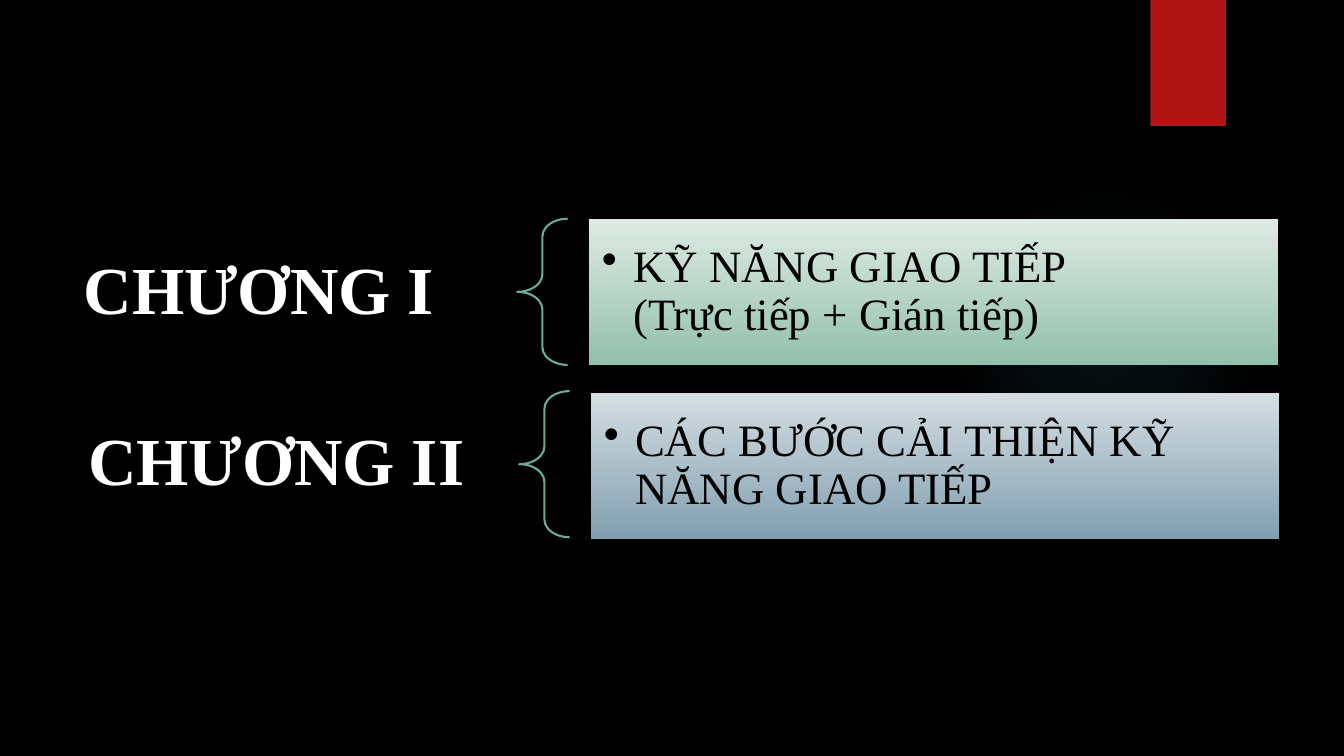
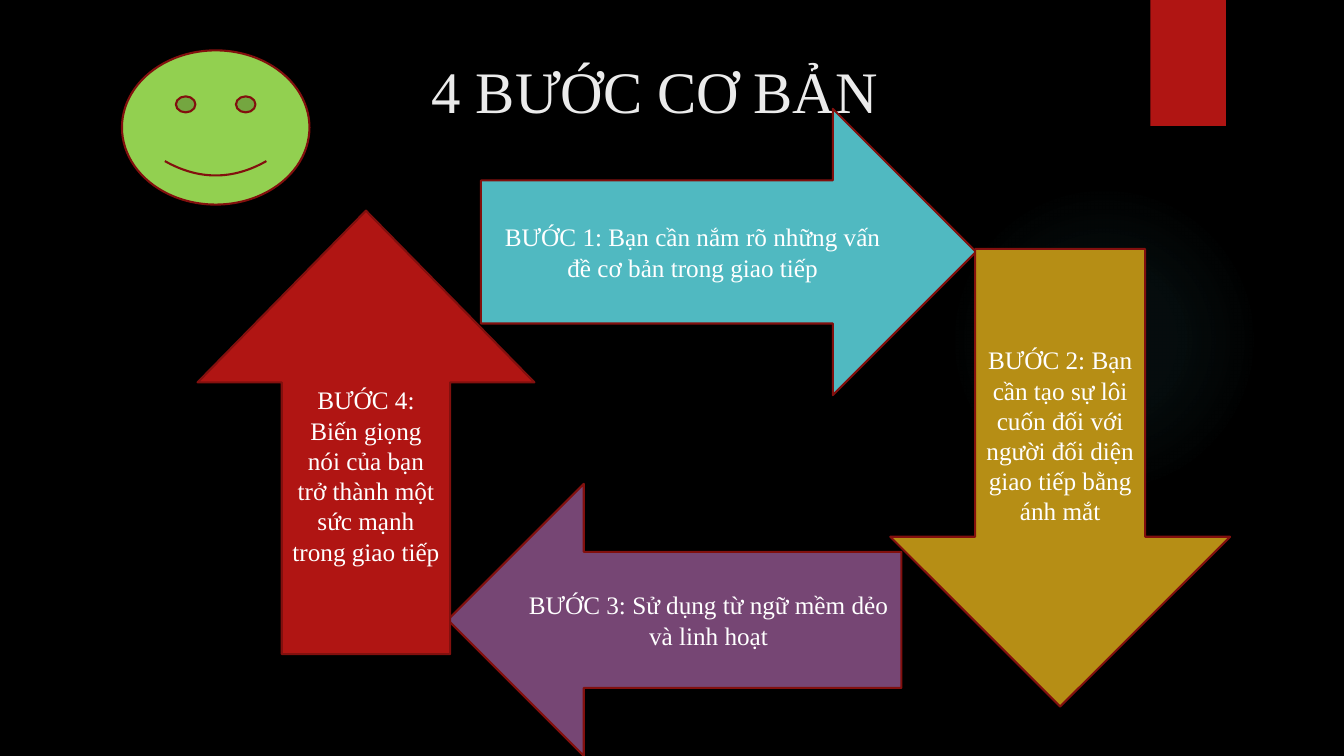
from dataclasses import dataclass

from lxml import etree
from pptx import Presentation
from pptx import util as u
from pptx.dml.color import RGBColor
from pptx.enum import shapes, text
from pptx.oxml import ns

FONT = "Times New Roman"
BLACK, WHITE, TITLE = "000000", "FFFFFF", "EBEBEB"
RED, DARK_RED, TEAL, GREEN = "B01513", "82100E", "50B9C1", "6AAC90"
GLOW_STOPS = ((0, 7), (36, 6), (69, 0))
MS, AL, AN = shapes.MSO_SHAPE, text.PP_ALIGN, text.MSO_ANCHOR
Box = tuple[float, float, float, float]


@dataclass
class Chapter:
    label: str
    label_box: Box
    align: AL
    brace_box: Box
    content: str
    content_box: Box
    gradient: tuple[str, str]


@dataclass
class Step:
    content: str
    kind: MS
    box: Box
    color: str
    head: float = 0.5


CHAPTERS = [
    Chapter("CHƯƠNG I", (0.46, 2.18, 4.8, 1.45), AL.LEFT, (5.13, 2.17, 0.5, 1.45),
            "KỸ NĂNG GIAO TIẾP\v(Trực tiếp + Gián tiếp)",
            (5.84, 2.17, 6.84, 1.45), ("DEEAE4", "93C0AC")),
    Chapter("CHƯƠNG II", (0.33, 3.9, 4.82, 1.4), AL.CENTER, (5.15, 3.88, 0.5, 1.45),
            "CÁC BƯỚC CẢI THIỆN KỸ NĂNG GIAO TIẾP",
            (5.86, 3.9, 6.83, 1.45), ("D5DDE2", "81A0B0")),
]
STEPS = [
    Step("BƯỚC 1: Bạn cần nắm rõ những vấn đề cơ bản trong giao tiếp",
         MS.RIGHT_ARROW, (4.77, 1.08, 4.91, 2.84), TEAL),
    Step("BƯỚC 2: Bạn cần tạo sự lôi cuốn đối với người đối diện giao tiếp bằng ánh mắt",
         MS.DOWN_ARROW, (8.83, 2.47, 3.37, 4.54), "B68E15"),
    Step("BƯỚC 3: Sử dụng từ ngữ mềm dẻo và linh hoạt",
         MS.LEFT_ARROW, (4.44, 4.8, 4.5, 2.7), "764674"),
    Step("BƯỚC 4: Biến giọng nói của bạn trở thành một sức mạnh trong giao tiếp",
         MS.UP_ARROW, (1.96, 2.09, 3.34, 4.4), RED, 0.51),
]


def rgb(value: str) -> RGBColor:
    return RGBColor.from_string(value)


def inches(box: Box) -> list[u.Length]:
    return [u.Inches(v) for v in box]


def add_shape(s, kind: MS, box: Box, fill: str | None = None, line: str | None = None):
    sp = s.shapes.add_shape(kind, *inches(box))
    sp.shadow.inherit = False
    if fill:
        sp.fill.solid()
        sp.fill.fore_color.rgb = rgb(fill)
    else:
        sp.fill.background()
    if line:
        sp.line.color.rgb = rgb(line)
        sp.line.width = u.Pt(1.5)
    else:
        sp.line.fill.background()
    return sp


def write(sp, content: str, *, size: float, color: str = WHITE, bold: bool = False,
          align: AL = AL.CENTER, anchor: AN = AN.MIDDLE, spacing: float = 1.0,
          insets: tuple[float, float] = (0.1, 0.05), bullet: bool = False) -> None:
    tf = sp.text_frame
    tf.word_wrap = True
    tf.vertical_anchor = anchor
    tf.margin_left = tf.margin_right = u.Inches(insets[0])
    tf.margin_top = tf.margin_bottom = u.Inches(insets[1])
    p = tf.paragraphs[0]
    p.text = content
    p.alignment = align
    p.line_spacing = spacing
    for r in p.runs:
        r.font.name = FONT
        r.font.size = u.Pt(size)
        r.font.bold = bold
        r.font.color.rgb = rgb(color)
    if bullet:
        props = p._p.get_or_add_pPr()
        props.set("marL", str(u.Inches(0.31)))
        props.set("indent", str(-u.Inches(0.31)))
        etree.SubElement(props, ns.qn("a:buChar"), char="•")


def add_text(s, box: Box, content: str, **style) -> None:
    write(s.shapes.add_textbox(*inches(box)), content, **style)


def add_glow(s) -> None:
    sp = add_shape(s, MS.OVAL, (9.41, 1.83, 3.08, 3.08))
    sp.fill.gradient()
    grad = sp._element.spPr.find(ns.qn("a:gradFill"))
    for child in list(grad):
        grad.remove(child)
    stops = etree.SubElement(grad, ns.qn("a:gsLst"))
    for pos, alpha in GLOW_STOPS:
        stop = etree.SubElement(stops, ns.qn("a:gs"), pos=str(pos * 1000))
        color = etree.SubElement(stop, ns.qn("a:srgbClr"), val=TEAL)
        etree.SubElement(color, ns.qn("a:alpha"), val=str(alpha * 1000))
    circle = etree.SubElement(grad, ns.qn("a:path"), path="circle")
    etree.SubElement(circle, ns.qn("a:fillToRect"),
                     {side: "50000" for side in "ltrb"})


def new_slide(prs):
    s = prs.slides.add_slide(prs.slide_layouts[6])
    s.background.fill.solid()
    s.background.fill.fore_color.rgb = rgb(BLACK)
    add_glow(s)
    add_shape(s, MS.RECTANGLE, (11.41, 0, 0.75, 1.25), RED)
    return s


def add_chapter(s, chapter: Chapter) -> None:
    add_text(s, chapter.label_box, chapter.label, size=48, bold=True,
             align=chapter.align, spacing=0.9, insets=(0.37, 0.13))
    brace = add_shape(s, MS.LEFT_BRACE, chapter.brace_box, line=GREEN)
    brace.adjustments[0] = 0.35
    panel = add_shape(s, MS.RECTANGLE, chapter.content_box)
    panel.fill.gradient()
    panel.fill.gradient_angle = 270
    for stop, color in zip(panel.fill.gradient_stops, chapter.gradient):
        stop.color.rgb = rgb(color)
    write(panel, chapter.content, size=32, color=BLACK, align=AL.LEFT,
          spacing=0.9, insets=(0.13, 0.13), bullet=True)


def add_step(s, step: Step) -> None:
    arrow = add_shape(s, step.kind, step.box, step.color, DARK_RED)
    arrow.adjustments[1] = step.head
    write(arrow, step.content, size=18)


def main() -> None:
    prs = Presentation()
    prs.slide_width, prs.slide_height = u.Inches(13.33), u.Inches(7.5)

    s = new_slide(prs)
    for chapter in CHAPTERS:
        add_chapter(s, chapter)

    s = new_slide(prs)
    add_text(s, (1.35, 0.49, 10.29, 1.53), "4 BƯỚC CƠ BẢN",
             size=42, color=TITLE, anchor=AN.TOP)
    add_shape(s, MS.SMILEY_FACE, (1.21, 0.5, 1.86, 1.53), "92D050", DARK_RED)
    for step in STEPS:
        add_step(s, step)

    prs.save("out.pptx")


if __name__ == "__main__":
    main()
